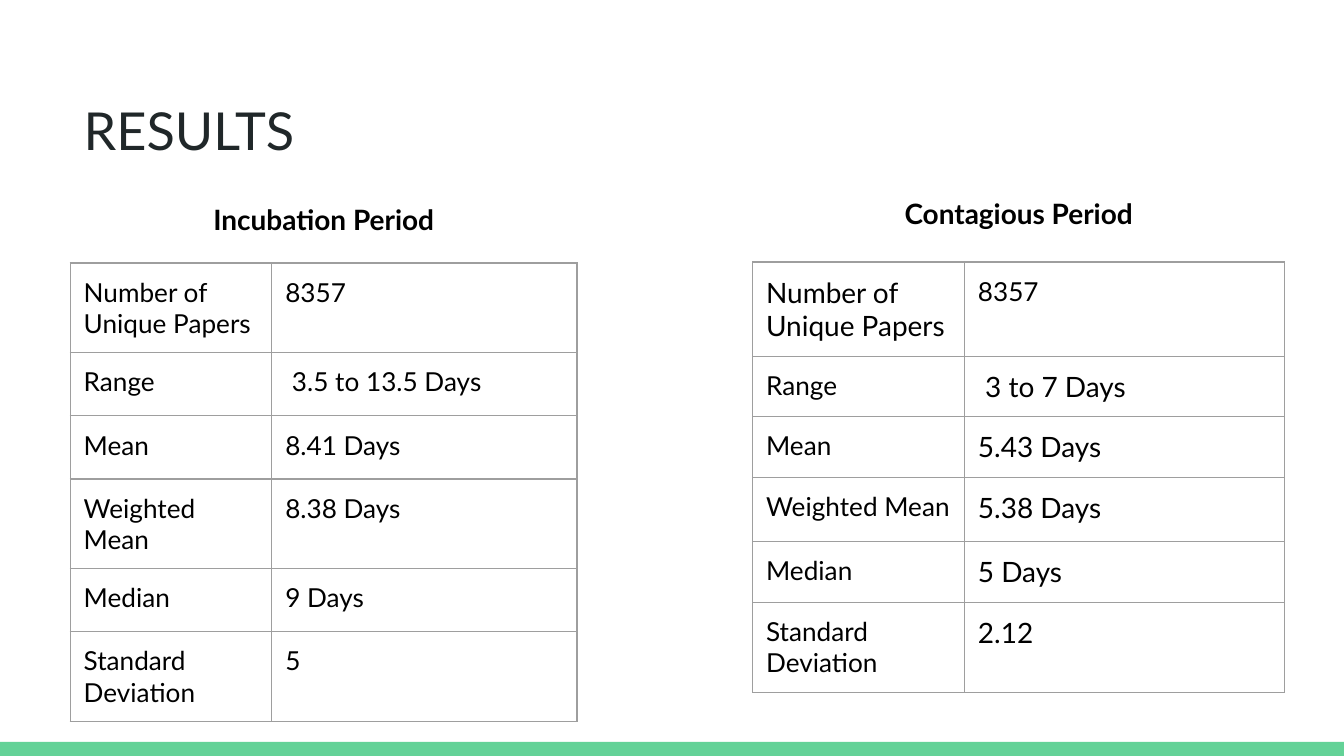
"""Build a results slide with two tables of period statistics."""
from lxml import etree
from pptx import Presentation
from pptx.dml.color import RGBColor
from pptx.enum.shapes import MSO_SHAPE
from pptx.enum.text import MSO_ANCHOR, PP_ALIGN
from pptx.oxml.ns import qn
from pptx.util import Inches, Pt

RECT = MSO_SHAPE.RECTANGLE
TOP = MSO_ANCHOR.TOP
LEFT, CENTER = PP_ALIGN.LEFT, PP_ALIGN.CENTER
BLACK = RGBColor(0x00, 0x00, 0x00)
INK = RGBColor(0x20, 0x27, 0x29)
GREEN = RGBColor(0x63, 0xD2, 0x97)
GRAY = RGBColor(0x9E, 0x9E, 0x9E)
WIDTH = Inches(10)
HEIGHT = WIDTH * 9 // 16
UNIT = WIDTH // 100
PAD = UNIT
LABELS = ["Number of Unique Papers", "Range", "Mean", "Weighted Mean",
          "Median", "Standard Deviation"]
PERIODS = [
    ("Incubation Period", (13.1, 13.7, 22, 4.6), (5.23, 19.57),
     (15, 22.7), (6.6, 4.7, 4.7, 6.6, 4.7, 6.6), 14,
     ["8357", " 3.5 to 13.5 Days", "8.41 Days", "8.38 Days", "9 Days", "5"]),
    ("Contagious Period", (63.7, 13.23, 24.2, 5.4), (56, 19.5),
     (15.77, 23.8), (7, 4.48, 4.48, 4.8, 4.48, 6.7), 15,
     ["8357", " 3 to 7 Days", "5.43 Days", "5.38 Days", "5 Days", "2.12"]),
]


def grid(*cells):
    return [round(cell * UNIT) for cell in cells]


def write(frame, text, size, color=BLACK, bold=False, align=LEFT):
    frame.margin_left = frame.margin_right = PAD
    frame.margin_top = frame.margin_bottom = PAD
    frame.word_wrap = True
    frame.vertical_anchor = TOP
    para = frame.paragraphs[0]
    para.text = text
    para.alignment = align
    para.font.name = "Lato"
    para.font.size = Pt(size)
    para.font.bold = bold
    para.font.color.rgb = color
    return para


deck = Presentation()
deck.slide_width, deck.slide_height = WIDTH, HEIGHT
slide = deck.slides.add_slide(deck.slide_layouts[5])

bar = slide.shapes.add_shape(RECT, 0, HEIGHT - grid(1.05)[0], *grid(100, 1.05))
bar.shadow.inherit = False
bar.fill.solid()
bar.fill.fore_color.rgb = GREEN
bar.line.fill.background()

title = slide.shapes.title
title.left, title.top, title.width, title.height = grid(5.23, 6.3, 69.1, 6.9)
write(title.text_frame, "RESULTS", 28, INK)

for name, area, spot, cols, rows, size, values in PERIODS:
    head = slide.shapes.add_textbox(*grid(*area))
    write(head.text_frame, name, 15, bold=True, align=CENTER).line_spacing = 1.15

    frame = slide.shapes.add_table(
        len(rows), len(cols), *grid(*spot, sum(cols), sum(rows)))
    table = frame.table
    table.first_row = table.horz_banding = False
    for col, width in zip(table.columns, grid(*cols)):
        col.width = width
    for row, height in zip(table.rows, grid(*rows)):
        row.height = height

    for r, pair in enumerate(zip(LABELS, values)):
        for c, text in enumerate(pair):
            cell = table.cell(r, c)
            cell.margin_left = cell.margin_right = PAD
            cell.margin_top = cell.margin_bottom = PAD
            cell.vertical_anchor = TOP
            para = cell.text_frame.paragraphs[0]
            para.text = text
            para.font.name = "Lato"
            para.font.size = Pt(size if (r == 0) == (c == 0) else 14)
            para.font.color.rgb = BLACK
            props = cell._tc.get_or_add_tcPr()
            for side in ("a:lnL", "a:lnR", "a:lnT", "a:lnB"):
                edge = etree.SubElement(props, qn(side), w=str(Pt(0.75)))
                fill = etree.SubElement(edge, qn("a:solidFill"))
                etree.SubElement(fill, qn("a:srgbClr"), val=str(GRAY))
            cell.fill.background()

deck.save("out.pptx")
